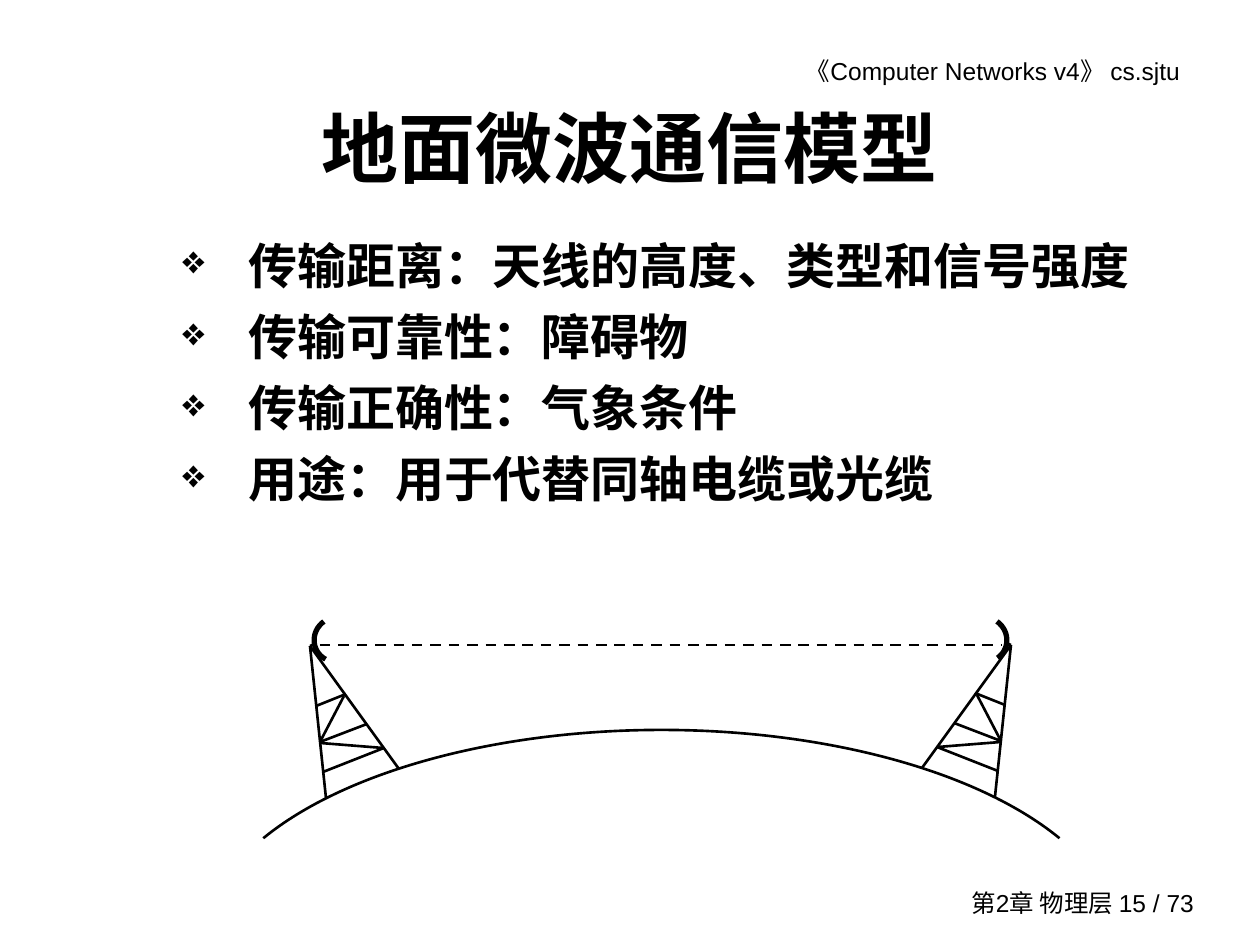
from lxml.etree import SubElement
from pptx import Presentation
from pptx.dml.color import RGBColor
from pptx.enum.dml import MSO_LINE_DASH_STYLE as Dash
from pptx.enum.shapes import MSO_CONNECTOR as Connector, MSO_SHAPE as Shape
from pptx.enum.text import MSO_ANCHOR as Anchor, PP_ALIGN as Align
from pptx.oxml.ns import qn
from pptx.util import Emu, Pt

BLACK = RGBColor(0, 0, 0)
FONT = "Arial"
EMU_PER_PX = 914400 / 126
BULLET_INDENT = 66
MIRROR_SUM = 1321

TOPICS = [
    "传输距离：天线的高度、类型和信号强度",
    "传输可靠性：障碍物",
    "传输正确性：气象条件",
    "用途：用于代替同轴电缆或光缆",
]
TOWER_BEAMS = [
    (310, 646, 326, 798),
    (310, 646, 399, 769),
    (346, 694, 316, 706),
    (367, 724, 320, 742),
    (384, 748, 323, 772),
    (344, 696, 320, 742),
    (320, 743, 383, 748),
    (310, 646, 315, 644),
]


def px(value):
    return Emu(round(value * EMU_PER_PX))


def add_bullet(para):
    props = para._p.get_or_add_pPr()
    props.set("marL", str(px(BULLET_INDENT)))
    props.set("indent", str(-px(BULLET_INDENT)))
    color = SubElement(props, qn("a:buClr"))
    SubElement(color, qn("a:srgbClr"), val=str(BLACK))
    SubElement(props, qn("a:buSzPct"), val="80000")
    SubElement(props, qn("a:buChar"), char="❖")


def add_text(page, bounds, lines, size, align=Align.LEFT, anchor=Anchor.TOP,
             bold=False, bullets=False, right_inset=13):
    box = page.shapes.add_textbox(*map(px, bounds))
    frame = box.text_frame
    frame.word_wrap = True
    frame.vertical_anchor = anchor
    frame.margin_right = px(right_inset)
    for index, line in enumerate(lines):
        para = frame.add_paragraph() if index else frame.paragraphs[0]
        para.text = line
        para.alignment = align
        if bullets:
            add_bullet(para)
            para.space_before = Pt(7 if index else 0)
        para.font.name = FONT
        para.font.size = Pt(size)
        para.font.bold = bold
        para.font.color.rgb = BLACK


def add_line(page, x1, y1, x2, y2, dash=None):
    line = page.shapes.add_connector(Connector.STRAIGHT, *map(px, (x1, y1, x2, y2)))
    line.line.color.rgb = BLACK
    line.line.width = Pt(1.5)
    if dash:
        line.line.dash_style = dash
    SubElement(line._element.spPr, qn("a:effectLst"))


def add_arc(page, bounds, start, end, weight, rotation=0):
    arc = page.shapes.add_shape(Shape.ARC, *map(px, bounds))
    arc.shadow.inherit = False
    arc.fill.background()
    arc.line.color.rgb = BLACK
    arc.line.width = Pt(weight)
    arc.rotation = rotation
    for index, degrees in enumerate((start, end)):
        arc.adjustments[index] = degrees * 0.6


def add_towers(page):
    for x1, y1, x2, y2 in TOWER_BEAMS:
        add_line(page, x1, y1, x2, y2)
        add_line(page, MIRROR_SUM - x1, y1 - 1, MIRROR_SUM - x2, y2 - 1)


def main():
    deck = Presentation()
    deck.slide_width, deck.slide_height = px(1260), px(945)
    page = deck.slides.add_slide(deck.slide_layouts[6])

    add_text(page, (665, 50, 543, 43), ["《Computer Networks v4》 cs.sjtu"], 14,
             Align.RIGHT, right_inset=28)
    add_text(page, (922, 882, 285, 42), ["第2章 物理层 15 / 73"], 14,
             Align.RIGHT, Anchor.MIDDLE)
    add_text(page, (95, 84, 1071, 126), ["地面微波通信模型"], 44,
             Align.CENTER, Anchor.MIDDLE, bold=True)
    add_text(page, (170, 229, 997, 343), TOPICS, 28, bold=True, bullets=True)

    add_arc(page, (203, 730, 917, 430), 195, 345, 1.5)
    add_towers(page)
    add_arc(page, (314, 617, 47, 45), 142, 254, 3, 339)
    add_arc(page, (960, 617, 47, 45), 285, 31, 3, 21.7)
    add_line(page, 320, 645, 1002, 645, Dash.DASH)

    deck.save("out.pptx")


if __name__ == "__main__":
    main()
